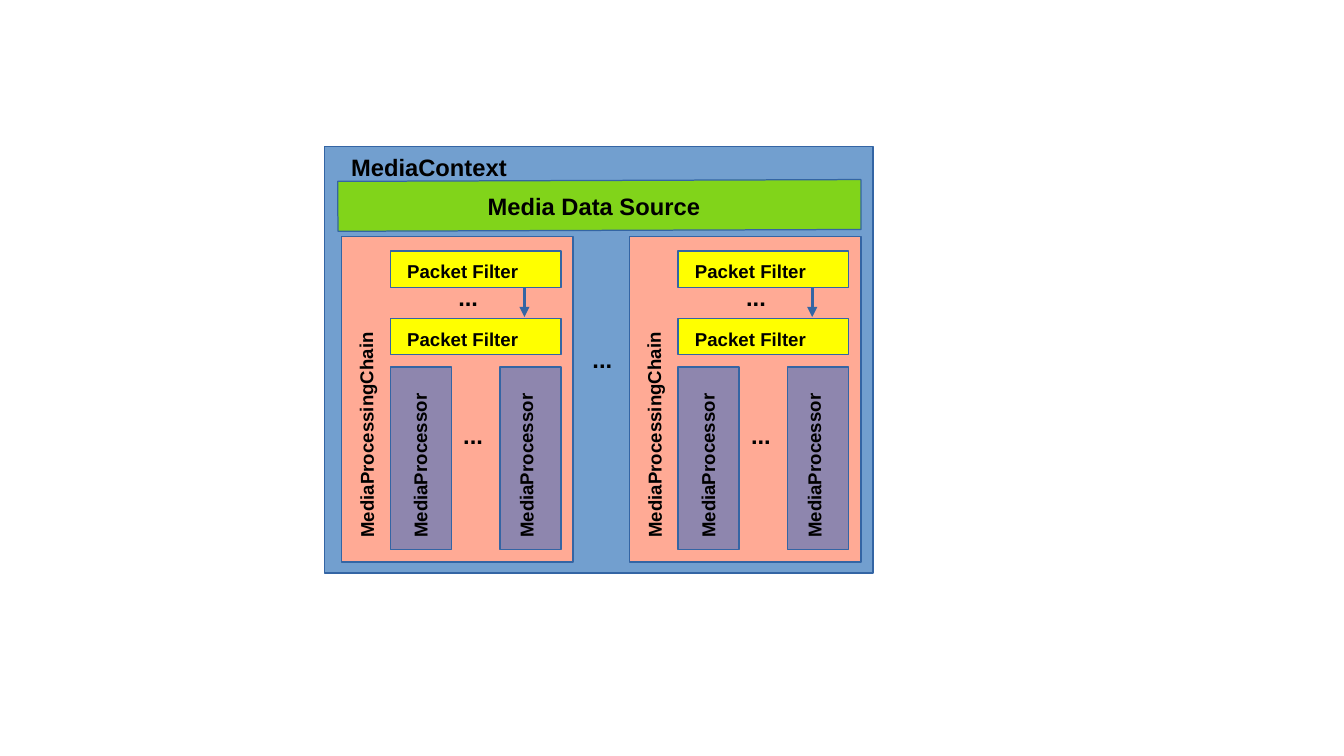
"""Build a slide showing a media context with two processing chains."""
from dataclasses import dataclass

from lxml.etree import SubElement
from pptx import Presentation
from pptx.dml.color import RGBColor
from pptx.enum.shapes import MSO_CONNECTOR, MSO_SHAPE
from pptx.oxml.ns import qn
from pptx.util import Inches, Pt


@dataclass(frozen=True)
class Theme:
    """Colours, font and type sizes of the slide."""

    context: str = "729FCF"
    source: str = "81D41A"
    chain: str = "FFAA95"
    packet_filter: str = "FFFF00"
    processor: str = "8E86AE"
    outline: str = "3465A4"
    text: str = "000000"
    font: str = "Arial"
    large: int = 14
    small: int = 11


theme = Theme()
presentation = Presentation()
presentation.slide_width = Inches(11.02)
presentation.slide_height = Inches(6.2)
slide = presentation.slides.add_slide(presentation.slide_layouts[6])


def add_block(left, top, width, height, color, rotation=0):
    """Add an outlined rectangle."""
    shape = slide.shapes.add_shape(
        MSO_SHAPE.RECTANGLE, Inches(left), Inches(top), Inches(width), Inches(height)
    )
    shape.shadow.inherit = False
    shape.fill.solid()
    shape.fill.fore_color.rgb = RGBColor.from_string(color)
    shape.line.color.rgb = RGBColor.from_string(theme.outline)
    shape.line.width = Pt(0)
    shape.rotation = rotation


def add_label(text, left, top, width, height=0.32, size=theme.small, rotation=0, wrap=True):
    """Add a bold text label."""
    box = slide.shapes.add_textbox(Inches(left), Inches(top), Inches(width), Inches(height))
    box.rotation = rotation
    box.text_frame.word_wrap = wrap
    paragraph = box.text_frame.paragraphs[0]
    paragraph.text = text
    font = paragraph.runs[0].font
    font.name = theme.font
    font.size = Pt(size)
    font.bold = True
    font.color.rgb = RGBColor.from_string(theme.text)


upward = 269.6
chain_lefts = (2.8, 5.16)

add_block(2.66, 1.2, 4.5, 3.5, theme.context)
add_label("MediaContext", 2.78, 1.2, 1.58, size=theme.large, wrap=False)
add_block(2.77, 1.48, 4.29, 0.41, theme.source, rotation=-0.2)
add_label("Media Data Source", 3.9, 1.52, 2.2, size=theme.large)
add_label("...", 4.76, 2.78, 0.4, size=theme.large)

for chain_left in chain_lefts:
    add_block(chain_left, 1.94, 1.9, 2.67, theme.chain)
    add_label("MediaProcessingChain", chain_left - 0.73, 3.4, 1.9, rotation=upward)

    for filter_top, label_top in ((2.06, 2.08), (2.61, 2.64)):
        add_block(chain_left + 0.4, filter_top, 1.4, 0.3, theme.packet_filter)
        add_label("Packet Filter", chain_left + 0.44, label_top, 1.4)
    add_label("...", chain_left + 0.86, 2.27, 0.4, size=theme.large)

    for processor_offset, label_offset in ((0.4, -0.04), (1.3, 0.83)):
        add_block(chain_left + processor_offset, 3.01, 0.5, 1.5, theme.processor)
        add_label("MediaProcessor", chain_left + label_offset, 3.65, 1.4, rotation=upward)
    add_label("...", chain_left + 0.9, 3.4, 0.47, height=0.34, size=theme.large)

    arrow_left = Inches(chain_left + 1.5)
    arrow = slide.shapes.add_connector(
        MSO_CONNECTOR.STRAIGHT, arrow_left, Inches(2.36), arrow_left, Inches(2.6)
    )
    arrow.line.color.rgb = RGBColor.from_string(theme.outline)
    arrow.line.width = Pt(0)
    SubElement(arrow.line._get_or_add_ln(), qn("a:tailEnd"), type="triangle")
    SubElement(arrow._element.spPr, qn("a:effectLst"))

presentation.save("out.pptx")
